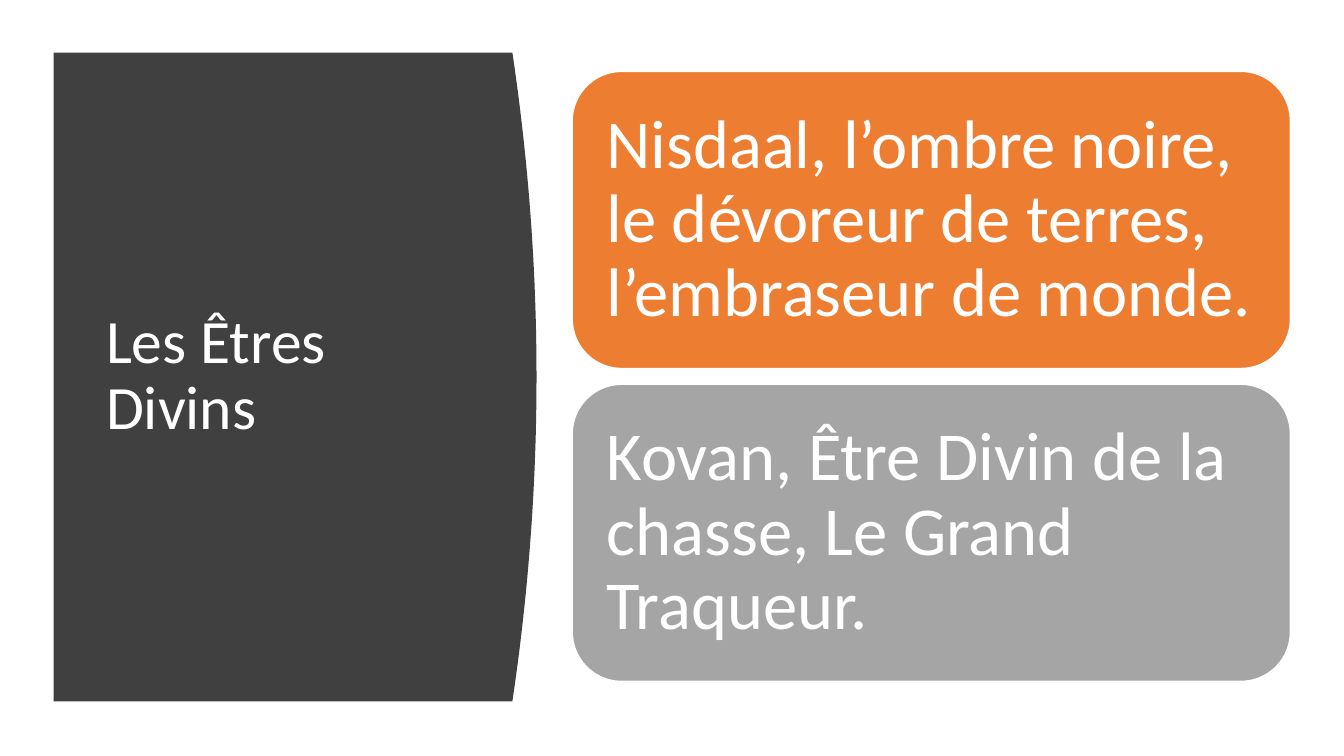
from dataclasses import dataclass

from pptx import Presentation
from pptx.dml.color import RGBColor
from pptx.enum.shapes import MSO_SHAPE
from pptx.enum.text import MSO_ANCHOR, MSO_AUTO_SIZE, PP_ALIGN
from pptx.util import Emu, Pt

ROUNDED = MSO_SHAPE.ROUNDED_RECTANGLE
MIDDLE = MSO_ANCHOR.MIDDLE
NO_AUTOFIT = MSO_AUTO_SIZE.NONE
LEFT = PP_ALIGN.LEFT

EMU_PER_PX = 9525
TITLE_ONLY = 5


@dataclass(frozen=True)
class Theme:
    font: str = "Calibri"
    title_size: int = 44
    card_size: int = 49
    white: str = "FFFFFF"
    panel: str = "404040"
    orange: str = "ED7D31"
    gray: str = "A5A5A5"


THEME = Theme()

TITLE = "Les Êtres Divins"
BEINGS = [
    ("Nisdaal, l’ombre noire, le dévoreur de terres, l’embraseur de monde.", THEME.orange),
    ("Kovan, Être Divin de la chasse, Le Grand Traqueur.", THEME.gray),
]


def px(length):
    return Emu(round(length * EMU_PER_PX))


def write_text(shape, text, *, size, color=THEME.white, margin_x, margin_y):
    frame = shape.text_frame
    frame.text = text
    frame.word_wrap = True
    frame.auto_size = NO_AUTOFIT
    frame.vertical_anchor = MIDDLE
    frame.margin_left = frame.margin_right = px(margin_x)
    frame.margin_top = frame.margin_bottom = px(margin_y)
    paragraph = frame.paragraphs[0]
    paragraph.alignment = LEFT
    paragraph.line_spacing = 0.9
    font = paragraph.runs[0].font
    font.name = THEME.font
    font.size = Pt(size)
    font.color.rgb = RGBColor.from_string(color)


def paint(shape, fill, line=None):
    shape.shadow.inherit = False
    shape.fill.solid()
    shape.fill.fore_color.rgb = RGBColor.from_string(fill)
    if line:
        shape.line.color.rgb = RGBColor.from_string(line)
        shape.line.width = Pt(1)
    else:
        shape.line.fill.background()


def add_curved_panel(slide, left, top, width, height, bulge, steps=48):
    """Rectangle whose right edge bows outwards along a parabola."""
    edge = []
    for step in range(steps + 1):
        t = step / steps
        bow = bulge * 4 * t * (1 - t)
        edge.append((px(left + width - bulge + bow), px(top + height * t)))
    builder = slide.shapes.build_freeform(px(left), px(top))
    builder.add_line_segments(edge + [(px(left), px(top + height))], close=True)
    panel = builder.convert_to_shape()
    paint(panel, THEME.panel)
    # Send the panel behind the title
    slide.shapes.element.insert(2, panel.element)


def add_title(slide, text, left, top, width, height):
    title = slide.shapes.title
    title.left, title.top = px(left), px(top)
    title.width, title.height = px(width), px(height)
    write_text(title, text, size=THEME.title_size, margin_x=10, margin_y=5)


def add_card(slide, text, fill, left, top, width, height):
    card = slide.shapes.add_shape(ROUNDED, px(left), px(top), px(width), px(height))
    paint(card, fill, line=THEME.white)
    write_text(card, text, size=THEME.card_size, margin_x=19, margin_y=19)


def main():
    deck = Presentation()
    deck.slide_width, deck.slide_height = px(1280), px(720)
    slide = deck.slides.add_slide(deck.slide_layouts[TITLE_ONLY])

    # Dark panel with the title
    add_curved_panel(slide, 51, 50, 460, 618, bulge=23)
    add_title(slide, TITLE, 91, 107, 359, 503)

    # One card per divine being
    card_height, gap = 283, 15
    for row, (being, fill) in enumerate(BEINGS):
        top = 68 + row * (card_height + gap)
        add_card(slide, being, fill, 545, top, 684, card_height)

    deck.save("out.pptx")


if __name__ == "__main__":
    main()
